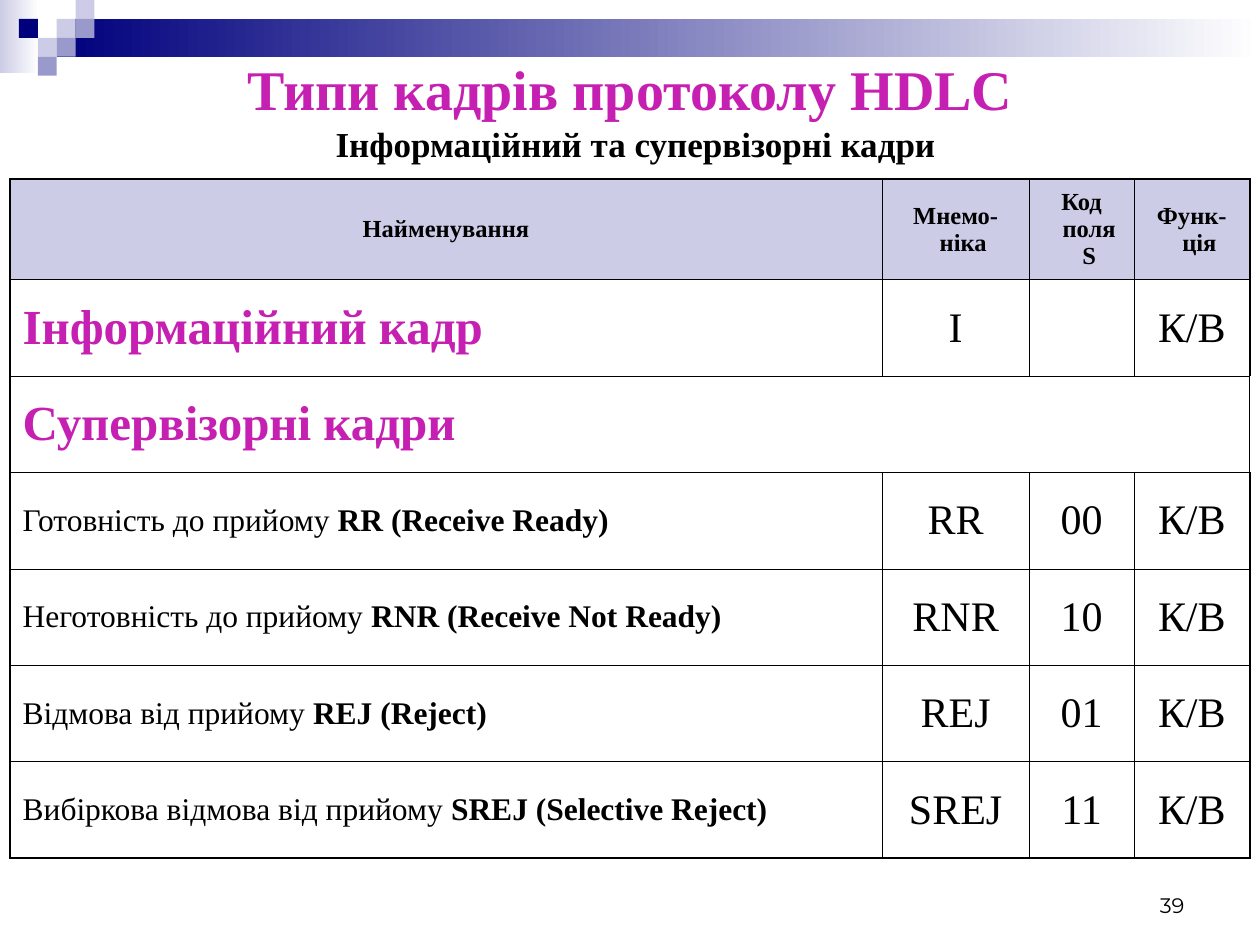
from lxml.etree import SubElement
from pptx import Presentation
from pptx.dml.color import RGBColor
from pptx.enum.shapes import MSO_SHAPE
from pptx.enum.text import MSO_ANCHOR, MSO_AUTO_SIZE, PP_ALIGN
from pptx.oxml import parse_xml
from pptx.oxml.ns import nsdecls, qn
from pptx.util import Inches, Pt

COLORS = {"navy": "00007D", "lilac": "CCCCE6", "violet": "9999CC",
          "white": "FFFFFF", "magenta": "C620B2", "black": "000000"}
SERIF = "Times New Roman"
UNIT = 0.15  # side of one mosaic square
MOSAIC = [(3, 1, "lilac"), (4, 0, "lilac"), (4, 1, "violet"), (2, 2, "lilac"),
          (1, 1, "navy"), (3, 2, "violet"), (2, 3, "violet")]

COLUMNS = [6.92, 1.17, 0.83, 0.92]
HEADER_HEIGHT, TABLE_HEIGHT = 0.8, 5.39
HEADINGS = ["Найменування", "Мнемо-ніка", "Код поля S", "Функ-ція"]
ROLE = "К/В"
SUPERVISORY = [("Готовність до прийому ", "RR", "Receive Ready", "00"),
               ("Неготовність до прийому ", "RNR", "Receive Not Ready", "10"),
               ("Відмова від прийому ", "REJ", "Reject", "01"),
               ("Вибіркова відмова від прийому ", "SREJ", "Selective Reject", "11")]

HEADING = {"size": Pt(14), "bold": True}
SECTION = {"size": Pt(28), "bold": True, "color": "magenta"}
NAME = {"size": Pt(18), "bold": False}
CODE = {"size": Pt(24), "bold": False}


def rgb(name):
    return RGBColor.from_string(COLORS[name])


def add_span(para, text, style):
    span = para.add_run()
    span.text = text
    values = {"name": SERIF, "color": "black"} | style
    span.font.color.rgb = rgb(values.pop("color"))
    for key, value in values.items():
        setattr(span.font, key, value)


def hang(para, depth):
    """Give the paragraph a hanging indent and no bullet."""
    properties = para._p.get_or_add_pPr()
    properties.set("marL", str(Inches(depth)))
    properties.set("indent", str(-Inches(depth)))
    SubElement(properties, qn("a:buNone"))


def add_rectangle(group, left, top, width, height, color, fades=False):
    shape = group.shapes.add_shape(
        MSO_SHAPE.RECTANGLE, *(Inches(n) for n in (left, top, width, height)))
    shape.shadow.inherit = False
    shape.line.fill.background()
    if fades:
        shape.fill.gradient()
        shape.fill.gradient_angle = 0
        for stop, name in zip(shape.fill.gradient_stops, (color, "white")):
            stop.color.rgb = rgb(name)
    else:
        shape.fill.solid()
        shape.fill.fore_color.rgb = rgb(color)


def add_mosaic(page):
    """Draw the faded bands and squares behind everything else."""
    group = page.shapes.add_group_shape()
    add_rectangle(group, 0, 0, 0.31, 0.58, "lilac", fades=True)
    add_rectangle(group, 3 * UNIT, UNIT, 10 - 3 * UNIT, 2 * UNIT, "navy", fades=True)
    for column, row, color in MOSAIC:
        add_rectangle(group, column * UNIT, row * UNIT, UNIT, UNIT, color)
    page.shapes._spTree.insert(2, group._element)


def fill_box(box, place, text, style, anchor, align, depth=None):
    for side, value in zip(("left", "top", "width", "height"), place):
        setattr(box, side, Inches(value))
    frame = box.text_frame
    frame.word_wrap = True
    frame.auto_size = MSO_AUTO_SIZE.NONE
    frame.vertical_anchor = anchor
    para = frame.paragraphs[0]
    para.alignment = align
    para.space_before = Pt(0)
    if depth is not None:
        hang(para, depth)
    add_span(para, text, style)


def set_borders(cell, widths):
    properties = cell._tc.get_or_add_tcPr()
    for index, (side, width) in enumerate(widths.items()):
        properties.insert(index, parse_xml(
            f'<a:ln{side} {nsdecls("a")} w="{Pt(width)}"><a:solidFill>'
            f'<a:srgbClr val="{COLORS["black"]}"/></a:solidFill></a:ln{side}>'))


def fill_cell(cell, spans, align):
    cell.vertical_anchor = MSO_ANCHOR.MIDDLE
    para = cell.text_frame.paragraphs[0]
    para.alignment = align
    para.space_before = Pt(0)
    hang(para, 0.12)
    for text, style in spans:
        add_span(para, text, style)


def table_rows():
    """List each row's cells as lists of (text, style) spans."""
    rows = [[[(text, HEADING)] for text in HEADINGS],
            [[("Інформаційний кадр", SECTION)], [("I", CODE)], [], [(ROLE, CODE)]],
            [[("Супервізорні кадри", SECTION)], [], [], []]]
    for name, short, full, code in SUPERVISORY:
        title = [(name, NAME), (f"{short} ({full})", NAME | {"bold": True})]
        rows.append([title] + [[(text, CODE)] for text in (short, code, ROLE)])
    return rows


def add_frame_table(page):
    rows = table_rows()
    last_row, last_column = len(rows) - 1, len(COLUMNS) - 1
    table = page.shapes.add_table(
        len(rows), len(COLUMNS), Inches(0.08), Inches(1.42),
        Inches(sum(COLUMNS)), Inches(TABLE_HEIGHT)).table
    table.first_row = table.horz_banding = False
    for column, width in zip(table.columns, COLUMNS):
        column.width = Inches(width)
    for index, row in enumerate(table.rows):
        row.height = Inches((TABLE_HEIGHT - HEADER_HEIGHT) / last_row
                            if index else HEADER_HEIGHT)
    for r, row in enumerate(rows):
        for c, spans in enumerate(row):
            cell = table.cell(r, c)
            if r == 0:
                cell.fill.solid()
                cell.fill.fore_color.rgb = rgb("lilac")
            else:
                cell.fill.background()
            outer = {"L": c == 0, "R": c == last_column, "T": r == 0, "B": r == last_row}
            set_borders(cell, {side: 1.08 if edge else 0.45 for side, edge in outer.items()})
            if spans:
                left = c == 0 and r > 0
                fill_cell(cell, spans, PP_ALIGN.LEFT if left else PP_ALIGN.CENTER)
    table.cell(2, 0).merge(table.cell(2, last_column))


def main():
    deck = Presentation()
    deck.slide_width, deck.slide_height = Inches(10), Inches(7.5)
    page = deck.slides.add_slide(deck.slide_layouts[1])
    add_mosaic(page)
    fill_box(page.shapes.title, (0.5, 0.25, 9, 0.9), "Типи кадрів протоколу HDLC",
             {"size": Pt(32), "bold": True, "color": "magenta"},
             MSO_ANCHOR.MIDDLE, PP_ALIGN.CENTER)
    fill_box(page.placeholders[1], (0.42, 0.92, 9.25, 5.94),
             "Інформаційний та супервізорні кадри", {"size": Pt(20), "bold": True},
             MSO_ANCHOR.TOP, PP_ALIGN.CENTER, depth=0.38)
    add_frame_table(page)
    fill_box(page.shapes.add_textbox(0, 0, 0, 0), (7.17, 6.83, 2.33, 0.5), "39",
             {"size": Pt(12), "name": "Montserrat"}, MSO_ANCHOR.BOTTOM, PP_ALIGN.RIGHT)
    deck.save("out.pptx")


if __name__ == "__main__":
    main()
